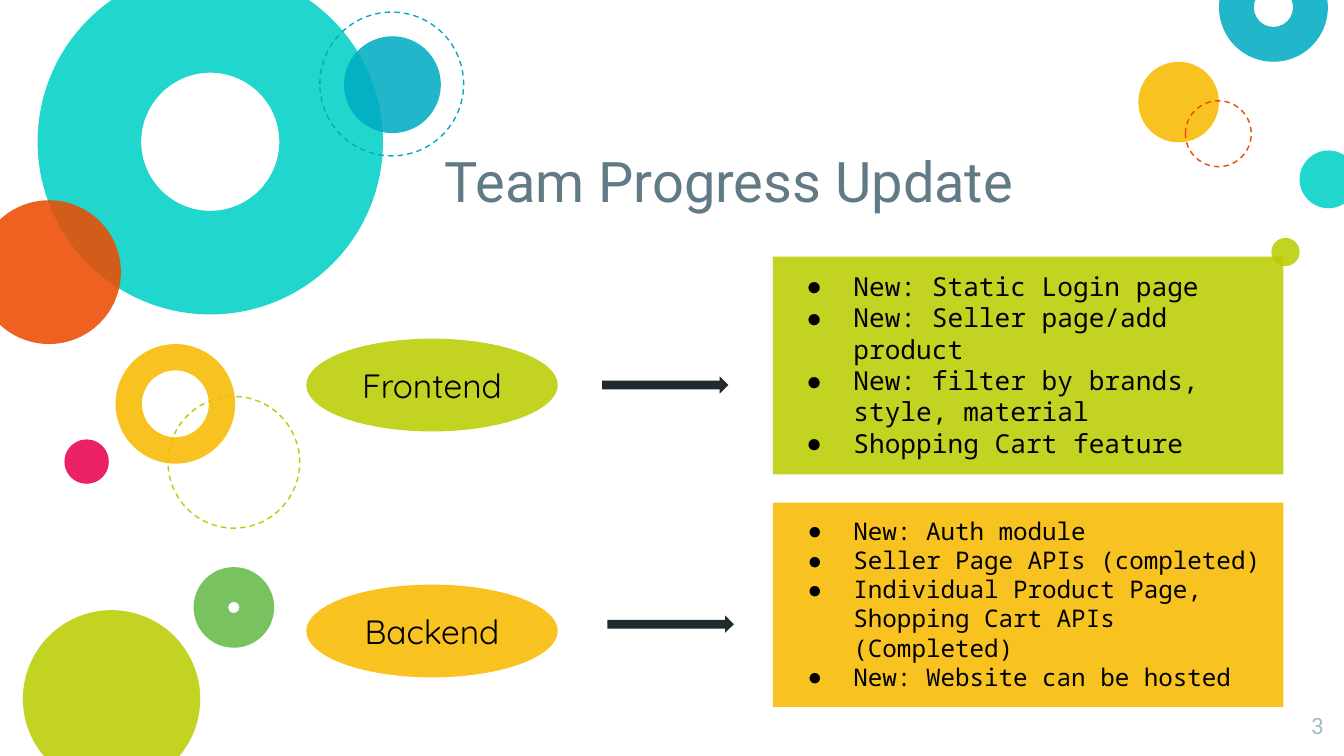
import dataclasses

import lxml.etree
import pptx
import pptx.dml.color
import pptx.enum.dml
import pptx.enum.shapes
import pptx.enum.text
import pptx.oxml.ns
import pptx.util

Inches = pptx.util.Inches
Pt = pptx.util.Pt
SHAPE = pptx.enum.shapes.MSO_SHAPE
ALIGN = pptx.enum.text.PP_ALIGN
ANCHOR = pptx.enum.text.MSO_ANCHOR


@dataclasses.dataclass(frozen=True)
class Theme:
    lime: str = "BBCD00"
    turquoise: str = "00D1C6"
    orange: str = "ED4A00"
    blue: str = "00ACC3"
    yellow: str = "F8BB00"
    green: str = "65BB48"
    pink: str = "E8004C"
    arrow: str = "212A2E"
    title: str = "617A86"
    page_number: str = "A1BECC"
    text: str = "000000"
    heading_font: str = "Roboto"
    label_font: str = "Quicksand"
    list_font: str = "Noto Sans Mono"
    title_size: int = 30
    label_size: int = 18
    frontend_size: int = 14
    backend_size: int = 13
    page_number_size: int = 12
    opacity: int = 87


def rgb(color):
    return pptx.dml.color.RGBColor.from_string(color)


def add_xml(parent, tag, **attributes):
    element = lxml.etree.SubElement(parent, pptx.oxml.ns.qn(tag))
    for name, value in attributes.items():
        element.set(name, value)
    return element


class SlideBuilder:
    def __init__(self, slide, theme):
        self.slide = slide
        self.theme = theme

    def fill(self, shape, color, opacity=100):
        shape.fill.solid()
        shape.fill.fore_color.rgb = rgb(color)
        if opacity < 100:
            color_element = shape.element.spPr.find(".//" + pptx.oxml.ns.qn("a:srgbClr"))
            add_xml(color_element, "a:alpha", val=str(opacity * 1000))

    def style_paragraph(self, paragraph, font, size, color, align=ALIGN.LEFT):
        paragraph.alignment = align
        paragraph.font.name = font
        paragraph.font.size = Pt(size)
        paragraph.font.color.rgb = rgb(color)

    def frame(self, shape, anchor=ANCHOR.TOP):
        """Give the shape's text frame even margins and return it."""
        text = shape.text_frame
        text.word_wrap = True
        text.auto_size = pptx.enum.text.MSO_AUTO_SIZE.NONE
        text.vertical_anchor = anchor
        text.margin_left = text.margin_right = Inches(0.1)
        text.margin_top = text.margin_bottom = Inches(0.1)
        return text

    def place(self, placeholder, left, top, width, height):
        """Position a placeholder in front of everything drawn so far."""
        placeholder.left, placeholder.top = Inches(left), Inches(top)
        placeholder.width, placeholder.height = Inches(width), Inches(height)
        placeholder.element.getparent().append(placeholder.element)

    def shape(self, kind, left, top, width, height):
        shape = self.slide.shapes.add_shape(
            kind, Inches(left), Inches(top), Inches(width), Inches(height))
        shape.shadow.inherit = False
        shape.line.fill.background()
        return shape

    def disc(self, left, top, size, color):
        self.fill(self.shape(SHAPE.OVAL, left, top, size, size), color, self.theme.opacity)

    def ring(self, left, top, size, color, thickness):
        ring = self.shape(SHAPE.DONUT, left, top, size, size)
        ring.adjustments[0] = thickness
        self.fill(ring, color, self.theme.opacity)

    def dashed_circle(self, left, top, size, color):
        circle = self.shape(SHAPE.OVAL, left, top, size, size)
        circle.fill.background()
        circle.line.color.rgb = rgb(color)
        circle.line.width = Pt(0.75)
        circle.line.dash_style = pptx.enum.dml.MSO_LINE.DASH

    def title(self, words, left, top, width, height):
        title = self.slide.shapes.title
        self.place(title, left, top, width, height)
        text = self.frame(title, ANCHOR.BOTTOM)
        text.text = words
        self.style_paragraph(text.paragraphs[0], self.theme.heading_font,
                             self.theme.title_size, self.theme.title)

    def page_number(self, number, left, top, width, height):
        box = self.slide.shapes.add_textbox(
            Inches(left), Inches(top), Inches(width), Inches(height))
        text = self.frame(box)
        text.text = number
        self.style_paragraph(text.paragraphs[0], self.theme.heading_font,
                             self.theme.page_number_size, self.theme.page_number,
                             ALIGN.RIGHT)

    def team_label(self, name, left, top, color):
        oval = self.shape(SHAPE.OVAL, left, top, 1.87, 0.69)
        self.fill(oval, color, self.theme.opacity)
        text = self.frame(oval, ANCHOR.MIDDLE)
        text.text = name
        self.style_paragraph(text.paragraphs[0], self.theme.label_font,
                             self.theme.label_size, self.theme.text, ALIGN.CENTER)

    def arrow(self, left, top):
        self.fill(self.shape(SHAPE.RIGHT_ARROW, left, top, 0.94, 0.13), self.theme.arrow)

    def bullet(self, paragraph, hanging):
        properties = paragraph._p.get_or_add_pPr()
        properties.set("marL", str(Inches(0.5)))
        properties.set("indent", str(-Inches(hanging)))
        add_xml(add_xml(properties, "a:buClr"), "a:srgbClr", val=self.theme.text)
        add_xml(properties, "a:buFont", typeface=self.theme.list_font)
        add_xml(properties, "a:buChar", char="●")

    def update_list(self, index, items, top, height, color, size, hanging):
        card = self.slide.placeholders[index]
        self.place(card, 5.75, top, 3.8, height)
        self.fill(card, color, self.theme.opacity)
        text = self.frame(card)
        text.text = "\n".join(items)
        for paragraph in text.paragraphs:
            self.bullet(paragraph, hanging)
            paragraph.space_before = Pt(0)
            self.style_paragraph(paragraph, self.theme.list_font, size, self.theme.text)


def main():
    presentation = pptx.Presentation()
    presentation.slide_width = Inches(10)
    presentation.slide_height = Inches(10 * 9 / 16)
    two_content = presentation.slide_layouts[3]
    theme = Theme()
    builder = SlideBuilder(presentation.slides.add_slide(two_content), theme)

    builder.dashed_circle(1.25, 2.95, 0.98, theme.lime)
    builder.ring(0.28, -0.23, 2.57, theme.turquoise, 0.3)
    builder.disc(-0.17, 1.49, 1.07, theme.orange)
    builder.disc(2.56, 0.27, 0.72, theme.blue)
    builder.ring(0.86, 2.56, 0.89, theme.yellow, 0.22)
    builder.disc(0.17, 4.54, 1.32, theme.lime)
    builder.ring(1.44, 4.22, 0.6, theme.green, 0.43)
    builder.disc(0.48, 3.27, 0.33, theme.pink)
    builder.disc(8.47, 0.46, 0.6, theme.yellow)
    builder.disc(9.67, 1.12, 0.43, theme.turquoise)
    builder.ring(9.07, -0.35, 0.81, theme.blue, 0.32)
    builder.disc(9.46, 1.77, 0.21, theme.lime)
    builder.dashed_circle(2.38, 0.09, 1.07, theme.blue)
    builder.dashed_circle(8.82, 0.75, 0.49, theme.orange)

    builder.title("Team Progress Update", 3.21, 0.99, 5.77, 0.7)
    builder.page_number("3", 9.44, 5.2, 0.51, 0.43)

    builder.team_label("Frontend", 2.28, 2.52, theme.lime)
    builder.team_label("Backend", 2.28, 4.35, theme.yellow)
    builder.arrow(4.48, 2.8)
    builder.arrow(4.52, 4.58)
    builder.update_list(
        1, ["New: Static Login page", "New: Seller page/add product",
            "New: filter by brands, style, material", "Shopping Cart feature"],
        top=1.91, height=1.62, color=theme.lime, size=theme.frontend_size, hanging=0.35)
    builder.update_list(
        2, ["New: Auth module", "Seller Page APIs (completed)",
            "Individual Product Page, Shopping Cart APIs (Completed)",
            "New: Website can be hosted"],
        top=3.74, height=1.52, color=theme.yellow, size=theme.backend_size, hanging=0.34)

    presentation.save("out.pptx")


if __name__ == "__main__":
    main()
